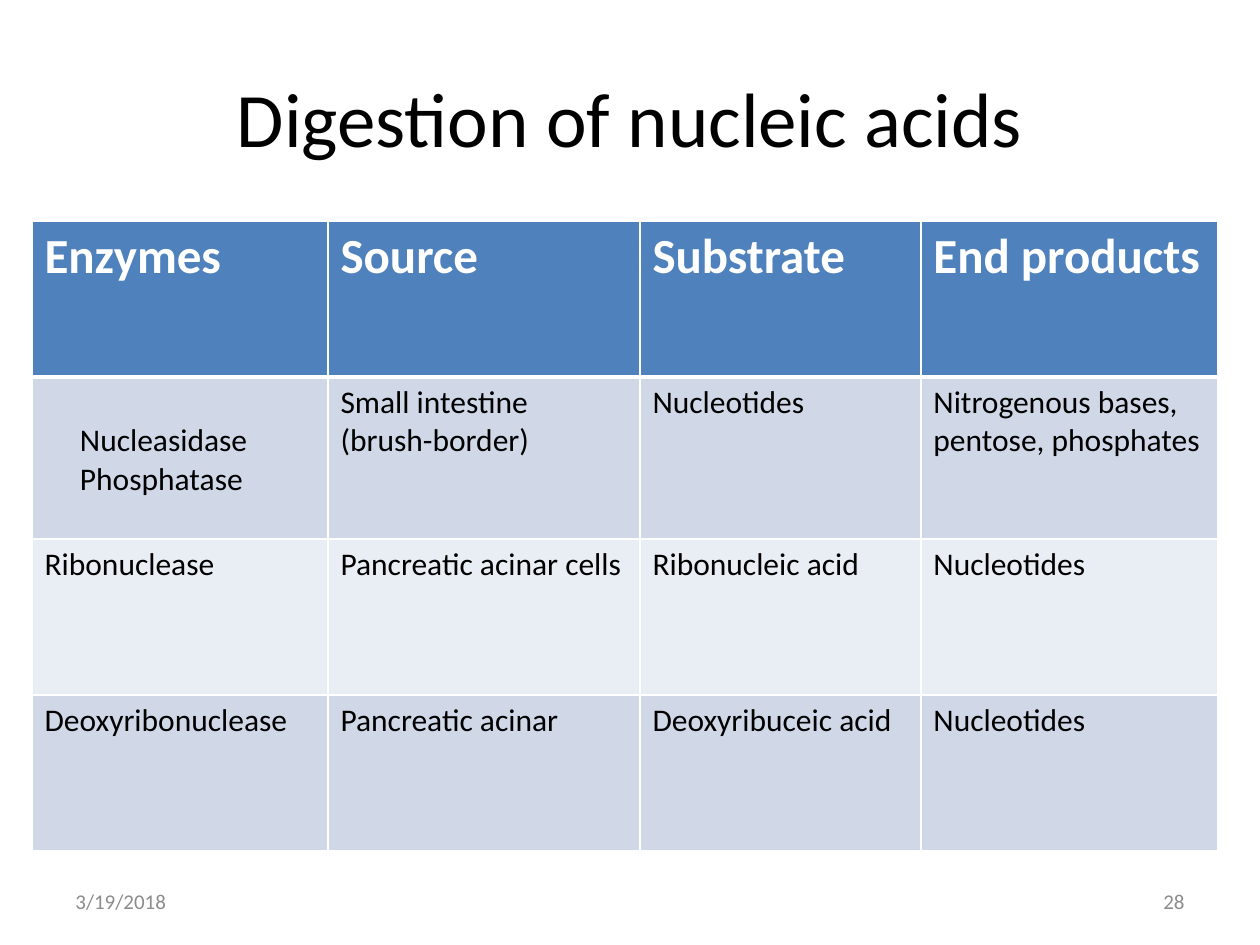
from lxml.etree import SubElement
from pptx import Presentation
from pptx.dml.color import RGBColor
from pptx.enum.text import MSO_ANCHOR, PP_ALIGN
from pptx.oxml.ns import qn
from pptx.util import Emu, Pt

PX = 914400 / 126
COLORS = {
    "text": "000000",
    "white": "FFFFFF",
    "header": "4F81BD",
    "band_dark": "D0D8E8",
    "band_light": "E9EDF4",
    "footer": "8C8C8C",
}
COLUMN_WIDTHS = [296, 312, 281, 297]
ROW_HEIGHTS = [156, 162, 156, 156]
ROWS = [
    ["Enzymes", "Source", "Substrate", "End products"],
    ["Nucleasidase\nPhosphatase", "Small intestine\n(brush-border)",
     "Nucleotides", "Nitrogenous bases, pentose, phosphates"],
    ["Ribonuclease", "Pancreatic acinar cells", "Ribonucleic acid", "Nucleotides"],
    ["Deoxyribonuclease", "Pancreatic acinar", "Deoxyribuceic acid", "Nucleotides"],
]


def px(length):
    return Emu(round(length * PX))


class SlideBuilder:
    def __init__(self, page, font="Calibri"):
        self.page = page
        self.font = font

    def set_text(self, frame, text, color, align=PP_ALIGN.LEFT, **formats):
        """Fill a text frame, one paragraph a line, in the house font."""
        frame.text = text
        frame.word_wrap = True
        for para in frame.paragraphs:
            para.alignment = align
            for span in para.runs:
                for name, value in {"name": self.font, **formats}.items():
                    setattr(span.font, name, value)
                span.font.color.rgb = RGBColor.from_string(COLORS[color])

    def place(self, shape, left, top, width, height):
        sides = {"left": left, "top": top, "width": width, "height": height}
        for name, value in sides.items():
            setattr(shape, name, px(value))

    def title(self, text, *bounds):
        title = self.page.shapes.title
        self.place(title, *bounds)
        self.set_text(title.text_frame, text, "text", PP_ALIGN.CENTER, size=Pt(44))
        title.text_frame.vertical_anchor = MSO_ANCHOR.MIDDLE

    def footer(self, text, align, *bounds):
        box = self.page.shapes.add_textbox(*map(px, bounds))
        self.set_text(box.text_frame, text, "footer", align, size=Pt(12))
        box.text_frame.vertical_anchor = MSO_ANCHOR.MIDDLE

    def borders(self, cell, **points):
        """Draw white cell borders; points holds the width of each side."""
        properties = cell._tc.get_or_add_tcPr()
        for side, width in points.items():
            line = SubElement(properties, qn(f"a:ln{side}"), w=str(Pt(width)))
            fill = SubElement(line, qn("a:solidFill"))
            SubElement(fill, qn("a:srgbClr"), val=COLORS["white"])

    def table(self, rows, left, top, widths, heights):
        table = self.page.shapes.add_table(
            len(rows), len(widths), px(left), px(top),
            px(sum(widths)), px(sum(heights))).table
        for column, width in zip(table.columns, widths):
            column.width = px(width)
        for row, height in zip(table.rows, heights):
            row.height = px(height)
        for i, texts in enumerate(rows):
            header = i == 0
            band = "header" if header else "band_dark" if i % 2 else "band_light"
            for j, text in enumerate(texts):
                cell = table.cell(i, j)
                self.set_text(cell.text_frame, text, "white" if header else "text",
                              size=Pt(28 if header else 18), bold=header)
                self.borders(cell, L=1, R=1, T=3 if i == 1 else 1,
                             B=3 if header else 1)
                cell.fill.solid()
                cell.fill.fore_color.rgb = RGBColor.from_string(COLORS[band])
        return table


def main():
    deck = Presentation()
    deck.slide_width, deck.slide_height = px(1260), px(945)
    builder = SlideBuilder(deck.slides.add_slide(deck.slide_layouts[5]))

    builder.title("Digestion of nucleic acids", 63, 38, 1134, 157)
    table = builder.table(ROWS, 32, 221, COLUMN_WIDTHS, ROW_HEIGHTS)
    indented = table.cell(1, 0)
    indented.margin_left, indented.margin_top = px(48), px(45)

    builder.footer("3/19/2018", PP_ALIGN.LEFT, 63, 876, 294, 50)
    builder.footer("28", PP_ALIGN.RIGHT, 903, 876, 294, 50)
    deck.save("out.pptx")


if __name__ == "__main__":
    main()
